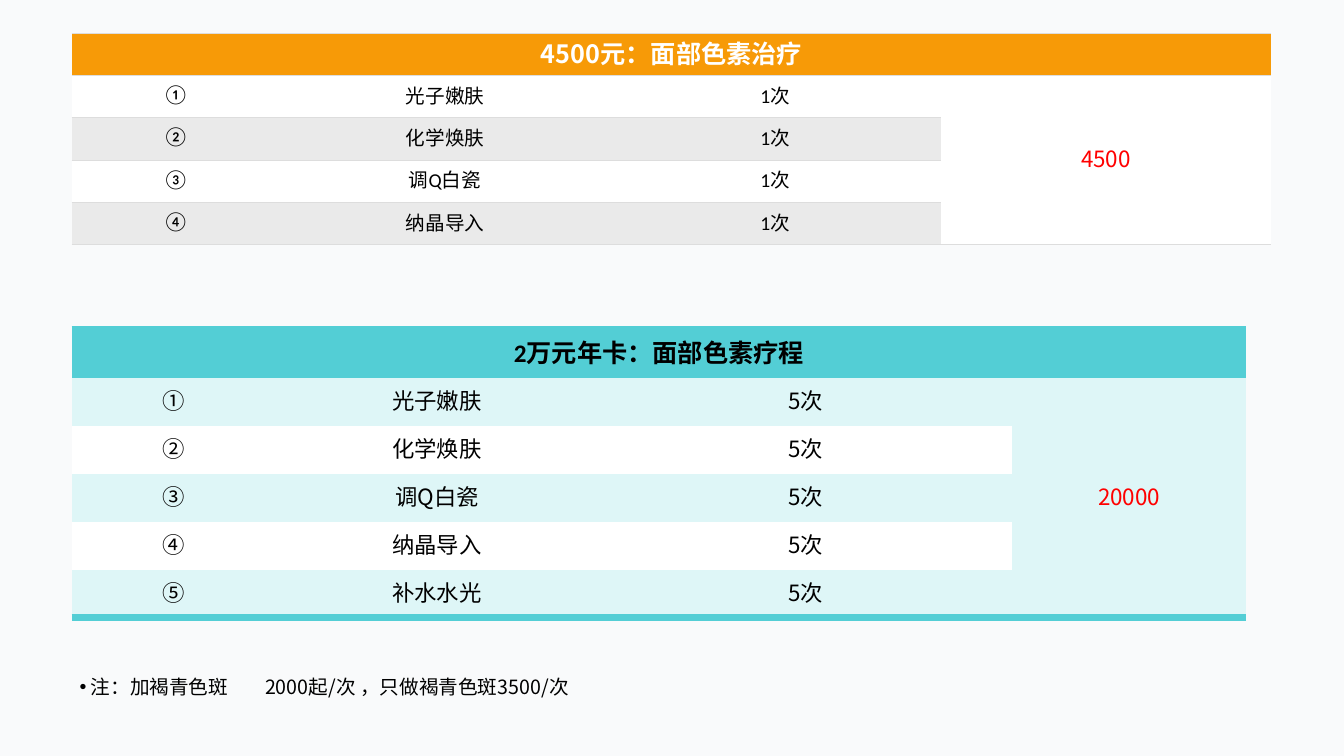
import pptx
import pptx.util
import pptx.dml.color
import pptx.enum.text
import pptx.oxml.ns
from lxml import etree

RGB = pptx.dml.color.RGBColor
Inches, Pt = pptx.util.Inches, pptx.util.Pt
ALIGN, ANCHOR = pptx.enum.text.PP_ALIGN, pptx.enum.text.MSO_ANCHOR
qn = pptx.oxml.ns.qn

# Colours and fonts
PAPER = RGB(0xF9, 0xFA, 0xFB)
WHITE = RGB(0xFF, 0xFF, 0xFF)
BLACK = RGB(0x00, 0x00, 0x00)
RED = RGB(0xFF, 0x00, 0x00)
ORANGE = RGB(0xF7, 0x9A, 0x07)
GREY = RGB(0xEA, 0xEA, 0xEA)
RULE = RGB(0xDD, 0xDD, 0xDD)
TEAL = RGB(0x53, 0xCE, 0xD5)
PALE_TEAL = RGB(0xDE, 0xF6, 0xF7)
CALIBRI, NOTO = "Calibri", "Noto Sans CJK SC"
PLAIN_TABLE = "{2D5ABB26-0587-4C30-8999-92F81FD0307C}"

# Content
TREATMENTS = ["光子嫩肤", "化学焕肤", "调Q白瓷", "纳晶导入", "补水水光"]
NUMBERS = "①②③④⑤"
NOTE = " 注：加褐青色斑\t2000起/次 ，只做褐青色斑3500/次"
PLANS = [
    dict(title="2万元年卡：面部色素疗程", count=5, times="5次", price="20000",
         left=0.71, top=3.27, cols=[2.02, 3.21, 4.1, 2.32], height=2.86,
         head=TEAL, bands=[PALE_TEAL, WHITE], line=TEAL, weight=6, inner=False,
         title_font=dict(name=CALIBRI, size=Pt(18), bold=True), title_color=BLACK,
         body_font=dict(name=NOTO, size=Pt(16), bold=False)),
    dict(title="4500元：面部色素治疗", count=4, times="1次", price="4500",
         left=0.71, top=0.33, cols=[2.07, 3.27, 3.28, 3.28], height=2.1,
         head=ORANGE, bands=[WHITE, GREY], line=RULE, weight=1, inner=True,
         title_font=dict(name=NOTO, size=Pt(18), bold=True), title_color=WHITE,
         body_font=dict(name=CALIBRI, size=Pt(14), bold=False)),
]
PRICE_FONT = dict(name=NOTO, size=Pt(16), bold=False)
CELL_FORMAT = dict(margin_left=Inches(0.01), margin_top=Inches(0.01),
                   margin_right=Inches(0.01), margin_bottom=Inches(0.05),
                   vertical_anchor=ANCHOR.MIDDLE)


def set_all(obj, values):
    for name, value in values.items():
        setattr(obj, name, value)


def write(p, text, font, color):
    r = p.add_run()
    r.text = text
    set_all(r.font, font)
    r.font.color.rgb = color
    ea = etree.SubElement(r.font._element, qn("a:ea"))
    ea.set("typeface", NOTO)


def fill_cell(cell, text, font, color, fill):
    set_all(cell, CELL_FORMAT)
    cell.fill.solid()
    cell.fill.fore_color.rgb = fill
    p = cell.text_frame.paragraphs[0]
    p.alignment = ALIGN.CENTER
    write(p, text, font, color)


def add_border(cell, side, color, weight):
    ln = etree.Element(qn("a:" + side), w=str(Pt(weight)))
    solid = etree.SubElement(ln, qn("a:solidFill"))
    etree.SubElement(solid, qn("a:srgbClr"), val=str(color))
    cell._tc.get_or_add_tcPr().insert(0, ln)


def add_plan(s, plan):
    last, price_col = plan["count"], len(plan["cols"]) - 1
    frame = s.shapes.add_table(
        last + 1, price_col + 1, Inches(plan["left"]), Inches(plan["top"]),
        Inches(sum(plan["cols"])), Inches(plan["height"]))
    table = frame.table
    table._tbl.tblPr.find(qn("a:tableStyleId")).text = PLAIN_TABLE
    for col, width in zip(table.columns, plan["cols"]):
        col.width = Inches(width)

    # Header across the top, price down the right side
    header, price = table.cell(0, 0), table.cell(1, price_col)
    header.merge(table.cell(0, price_col))
    price.merge(table.cell(last, price_col))
    fill_cell(header, plan["title"], plan["title_font"], plan["title_color"], plan["head"])
    fill_cell(price, plan["price"], PRICE_FONT, RED, plan["bands"][0])

    # Banded treatment rows
    for i in range(last):
        for j, text in enumerate([NUMBERS[i], TREATMENTS[i], plan["times"]]):
            fill_cell(table.cell(i + 1, j), text, plan["body_font"], BLACK,
                      plan["bands"][i % 2])

    # Rules: bottom edges first, since each border goes in at the front
    for i in range(last + 1):
        for j in range(price_col + 1):
            cell = table.cell(i, j)
            if cell.is_spanned:
                continue
            if plan["inner"] or i == last or (i == 1 and j == price_col):
                add_border(cell, "lnB", plan["line"], plan["weight"])
            if plan["inner"] or i == 0:
                add_border(cell, "lnT", plan["line"], plan["weight"])


def add_note(s):
    box = s.shapes.add_textbox(Inches(0.69), Inches(6.25), Inches(11.92), Inches(0.9))
    tf = box.text_frame
    set_all(tf, dict(word_wrap=True, vertical_anchor=ANCHOR.MIDDLE,
                     margin_top=Inches(0.27), margin_bottom=Inches(0.05)))
    p = tf.paragraphs[0]
    write(p, NOTE, dict(name=NOTO, size=Pt(14)), BLACK)
    pPr = p._p.get_or_add_pPr()
    pPr.set("marL", "0")
    pPr.set("indent", "0")
    etree.SubElement(pPr, qn("a:buFont"), typeface="Arial")
    etree.SubElement(pPr, qn("a:buChar"), char="•")
    tabs = etree.SubElement(pPr, qn("a:tabLst"))
    etree.SubElement(tabs, qn("a:tab"), pos=str(Inches(1.84)), algn="l")


def main():
    prs = pptx.Presentation()
    prs.slide_width, prs.slide_height = Inches(13.33), Inches(7.5)
    s = prs.slides.add_slide(prs.slide_layouts[6])
    s.background.fill.solid()
    s.background.fill.fore_color.rgb = PAPER
    add_note(s)
    for plan in PLANS:
        add_plan(s, plan)
    prs.save("out.pptx")


if __name__ == "__main__":
    main()
